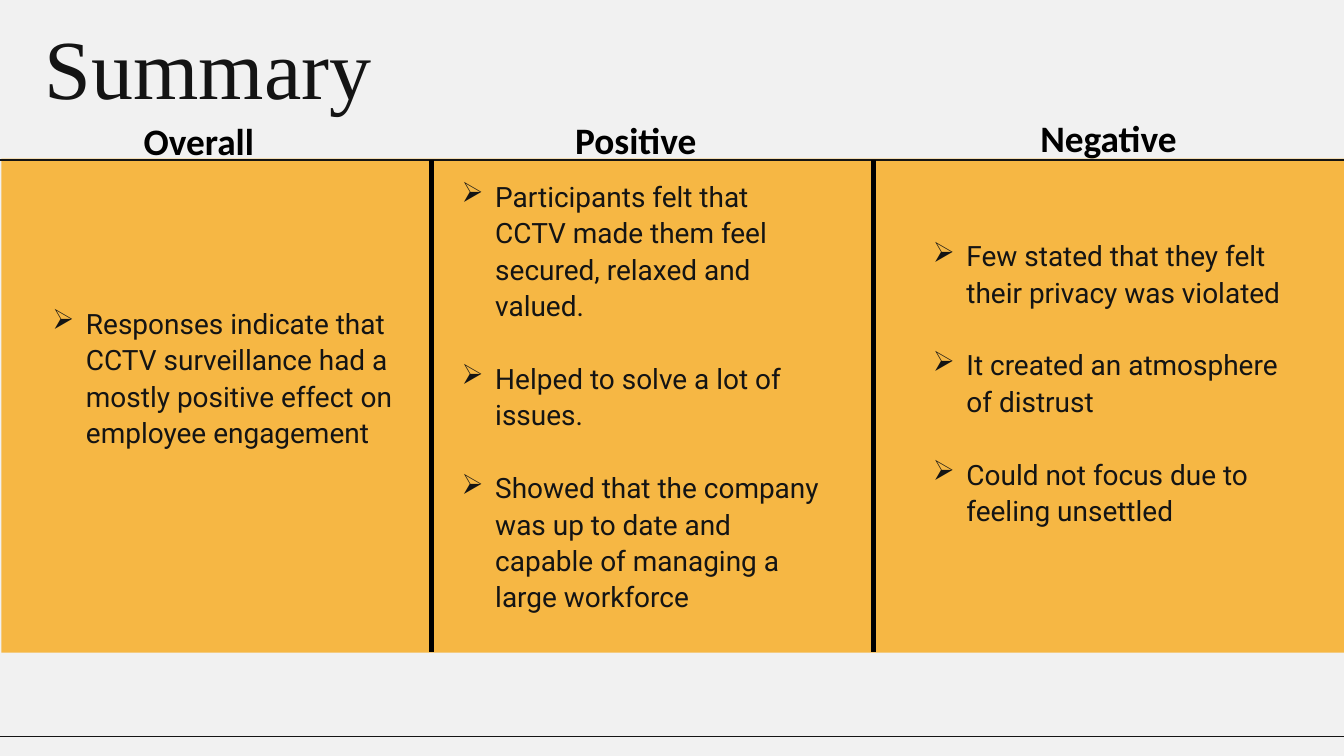
from lxml import etree
from pptx import Presentation
from pptx.dml.color import RGBColor
from pptx.enum.shapes import MSO_CONNECTOR, MSO_SHAPE
from pptx.enum.text import MSO_AUTO_SIZE
from pptx.oxml.ns import qn
from pptx.util import Cm, Pt

STRAIGHT = MSO_CONNECTOR.STRAIGHT
RECTANGLE = MSO_SHAPE.RECTANGLE
GROW = MSO_AUTO_SIZE.SHAPE_TO_FIT_TEXT

rgb = RGBColor.from_string
INK, BLACK, AMBER, PAPER = "141414", "000000", "F6B744", "F1F1F1"
WIDTH, HEIGHT = 50.8, 28.58
PANEL_TOP, PANEL_BOTTOM = 6.05, 24.66
INDENT = Cm(1.27)

prs = Presentation()
prs.slide_width, prs.slide_height = Cm(WIDTH), Cm(HEIGHT)
s = prs.slides.add_slide(prs.slide_layouts[6])
s.background.fill.solid()
s.background.fill.fore_color.rgb = rgb(PAPER)


def add_text(box, paragraphs, font, spacing=None, inset=None, bullet=None):
    """Box is left, top, width, height in cm; spacing is the line pitch in points."""
    tf = s.shapes.add_textbox(*map(Cm, box)).text_frame
    tf.word_wrap, tf.auto_size = True, GROW
    if inset is not None:
        for side in ("left", "top", "right", "bottom"):
            setattr(tf, f"margin_{side}", Cm(inset))
    for i, text in enumerate(paragraphs):
        p = tf.paragraphs[0] if i == 0 else tf.add_paragraph()
        if spacing:
            p.line_spacing = Pt(spacing)
            if i:
                p.space_before = Pt(spacing)
        if bullet:
            pPr = p._p.get_or_add_pPr()
            pPr.set("marL", str(INDENT))
            pPr.set("indent", str(-INDENT))
            etree.SubElement(pPr, qn("a:buChar")).set("char", bullet)
        r = p.add_run()
        r.text = text
        for name, value in font.items():
            if name == "color":
                r.font.color.rgb = rgb(value)
            else:
                setattr(r.font, name, value)


def add_line(x1, y1, x2, y2, color, width):
    line = s.shapes.add_connector(STRAIGHT, Cm(x1), Cm(y1), Cm(x2), Cm(y2))
    line.line.color.rgb = rgb(color)
    line.line.width = Pt(width)
    etree.SubElement(line._element.spPr, qn("a:effectLst"))


panel = s.shapes.add_shape(RECTANGLE, Cm(0.05), Cm(6), Cm(WIDTH), Cm(18.67))
panel.shadow.inherit = False
panel.fill.solid()
panel.fill.fore_color.rgb = rgb(AMBER)
panel.line.fill.background()

for y in (PANEL_TOP, 27.84):
    add_line(0, y, WIDTH, y, INK, 1.5)

title_font = {"name": "Times New Roman", "size": Pt(90), "color": INK}
add_text((1.7, 0.58, 45.09, 3.86), ["Summary"], title_font, spacing=108, inset=0)

# heading, its left, top and width, then the points with their left, top and height
columns = [
    ("Overall", (5.18, 4.34, 5.51), (1.98, 11.48, 6.93), [
        "Responses indicate that CCTV surveillance had a mostly positive effect "
        "on employee engagement"]),
    ("Positive", (21.49, 4.29, 5.51), (17.45, 6.68, 20.83), [
        "Participants felt that CCTV made them feel secured, relaxed and valued.",
        "Helped to solve a lot of issues.",
        "Showed that the company was up to date and capable of managing a "
        "large workforce"]),
    ("Negative", (39.07, 4.24, 6.96), (35.26, 8.92, 12.5), [
        "Few stated that they felt their privacy was violated",
        "It created an atmosphere of distrust",
        "Could not focus due to feeling unsettled"]),
]
heading_font = {"name": "Calibri", "size": Pt(40), "bold": True, "color": BLACK}
point_font = {"name": "Roboto", "size": Pt(30), "color": INK}
for heading, heading_box, (left, top, height), points in columns:
    add_text((left, top, 13.56, height), points, point_font,
             spacing=39, inset=0, bullet="➢")
    add_text((*heading_box, 1.96), [heading], heading_font)

for x in (16.31, 33.02):
    add_line(x, PANEL_TOP, x, PANEL_BOTTOM, BLACK, 4.5)

prs.save("out.pptx")
